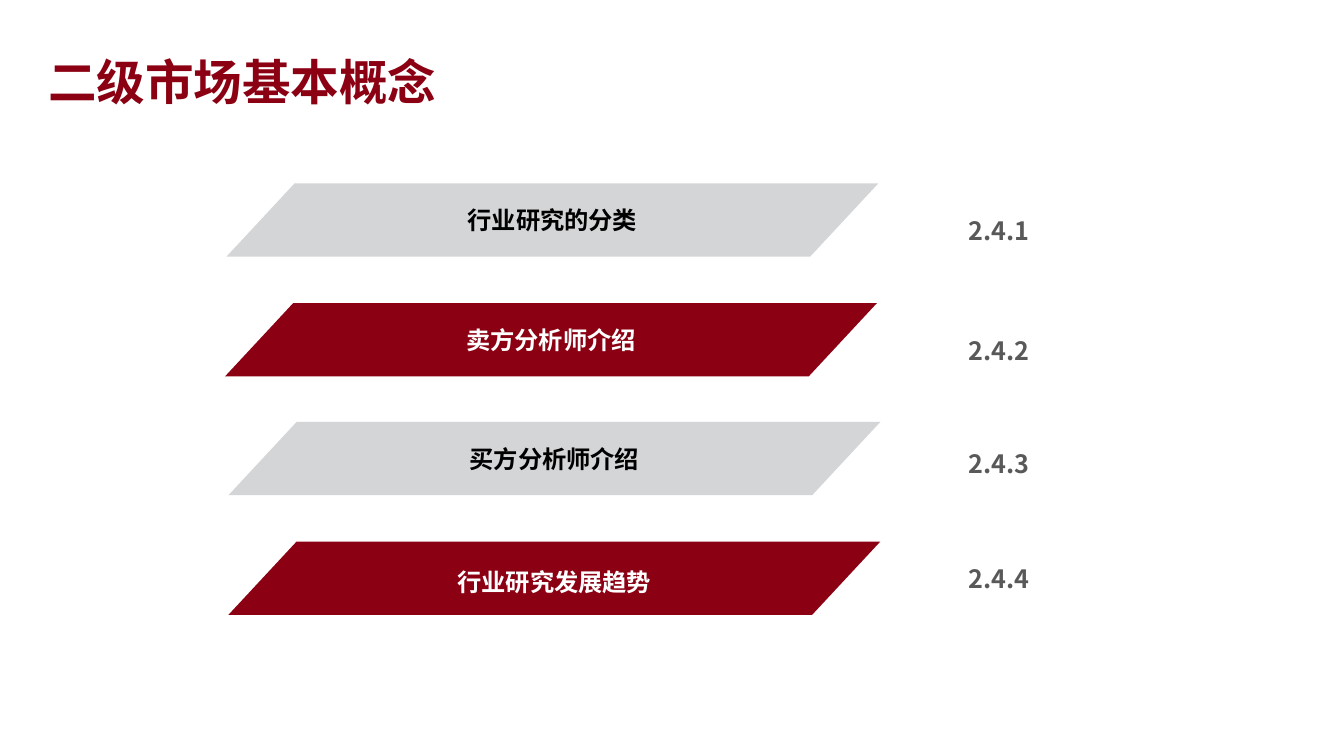
from lxml import etree
from pptx import Presentation
from pptx import util as u
from pptx.dml.color import RGBColor
from pptx.enum import shapes, text
from pptx.oxml.ns import qn

PX = 4572
RED = RGBColor(0x8B, 0x00, 0x12)
SILVER = RGBColor(0xD4, 0xD5, 0xD7)
BLACK = RGBColor(0, 0, 0)
WHITE = RGBColor(255, 255, 255)
GRAY = RGBColor(0x59, 0x59, 0x59)
FACE = "Noto Sans CJK SC"


class Deck:
    def __init__(self, wide, high):
        self.file = Presentation()
        self.file.slide_width = wide * PX
        self.file.slide_height = high * PX
        self.slide = self.file.slides.add_slide(self.file.slide_layouts[6])

    def area(self, *box):
        return [n * PX for n in box]

    def band(self, box, fill):
        kind = shapes.MSO_SHAPE.PARALLELOGRAM
        band = self.slide.shapes.add_shape(kind, *self.area(*box))
        band.adjustments[0] = 0.93
        band.shadow.inherit = False
        band.fill.solid()
        band.fill.fore_color.rgb = fill
        band.line.fill.background()

    def label(self, box, words, size, color, align=text.PP_ALIGN.CENTER, space=1.2):
        frame = self.slide.shapes.add_textbox(*self.area(*box)).text_frame
        form = {
            "word_wrap": True,
            "vertical_anchor": text.MSO_ANCHOR.MIDDLE,
            "margin_top": 0,
            "margin_bottom": 0,
        }
        for key, value in form.items():
            setattr(frame, key, value)
        para = frame.paragraphs[0]
        para.alignment = align
        para.line_spacing = space
        run = para.add_run()
        run.text = words
        for key, value in {"name": FACE, "size": u.Pt(size), "bold": True}.items():
            setattr(run.font, key, value)
        run.font.color.rgb = color
        east = etree.SubElement(run.font._element, qn("a:ea"))
        east.set("typeface", FACE)


def main():
    deck = Deck(2000, 1125)
    deck.label((52, 59, 740, 112), "二级市场基本概念", 26, RED,
               text.PP_ALIGN.LEFT, 1.14)
    rows = [
        ("行业研究的分类", 337, 273, 288, 304),
        ("卖方分析师介绍", 335, 451, 467, 482),
        ("买方分析师介绍", 340, 628, 644, 650),
        ("行业研究发展趋势", 340, 806, 828, 821),
    ]
    looks = [(SILVER, BLACK), (RED, WHITE)]
    for i, (words, left, top, line, mark) in enumerate(rows):
        fill, ink = looks[i % 2]
        deck.band((left, top, 970, 109), fill)
        deck.label((left + 145, line, 680, 68), words, 13, ink)
        deck.label((1336, mark, 302, 70), f"2.4.{i + 1}", 13.5, GRAY)
    deck.file.save("out.pptx")


if __name__ == "__main__":
    main()
